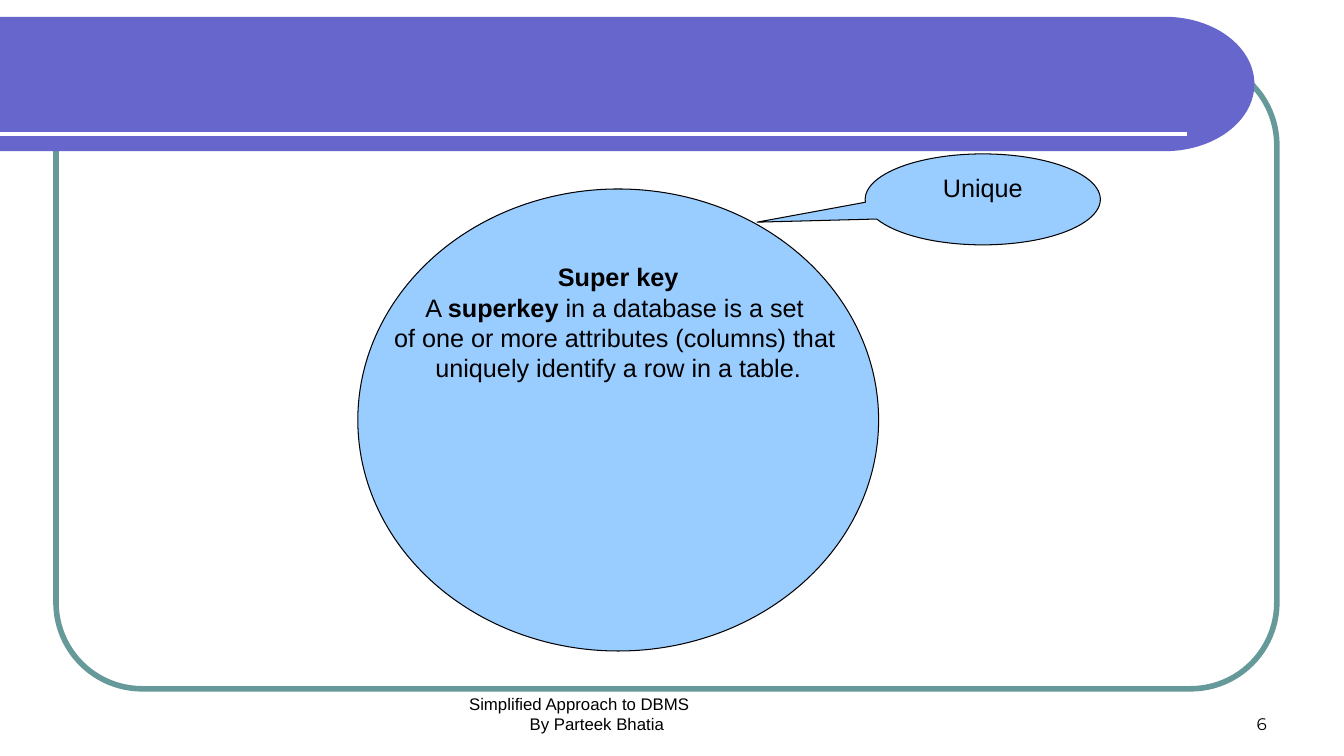
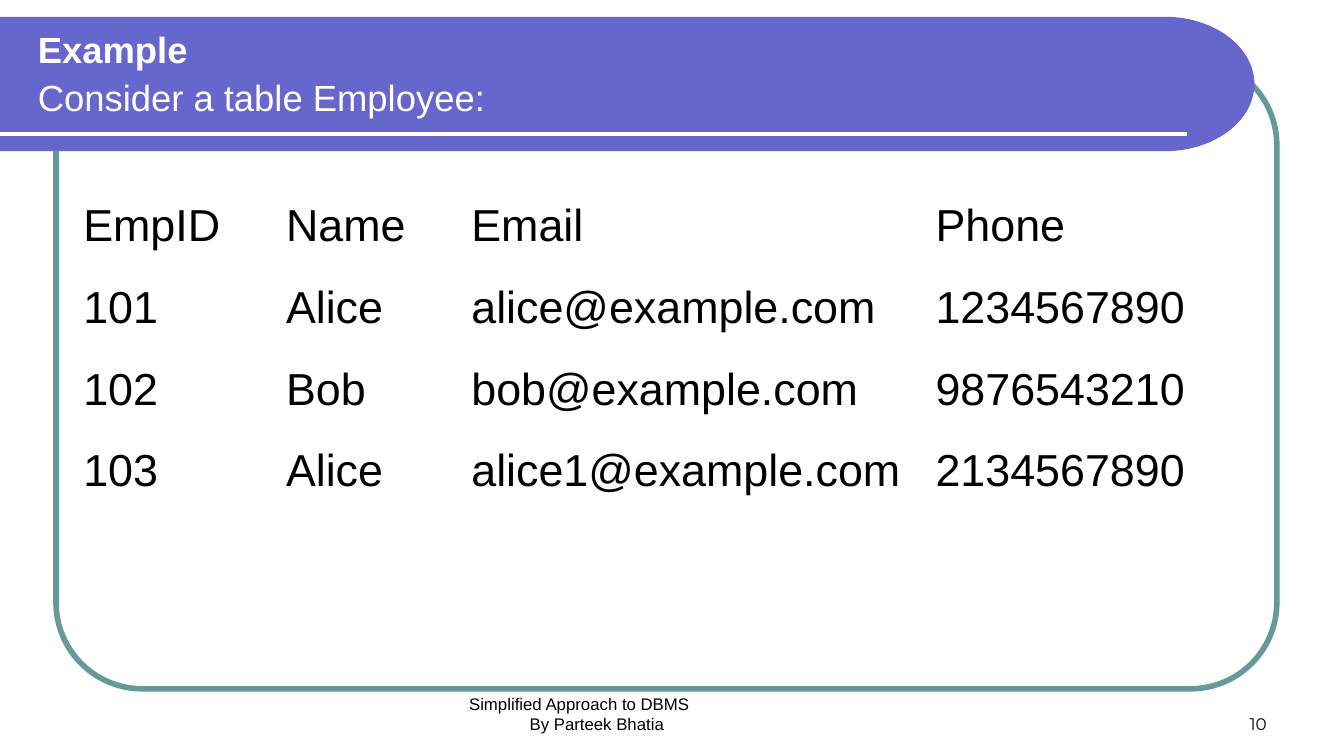
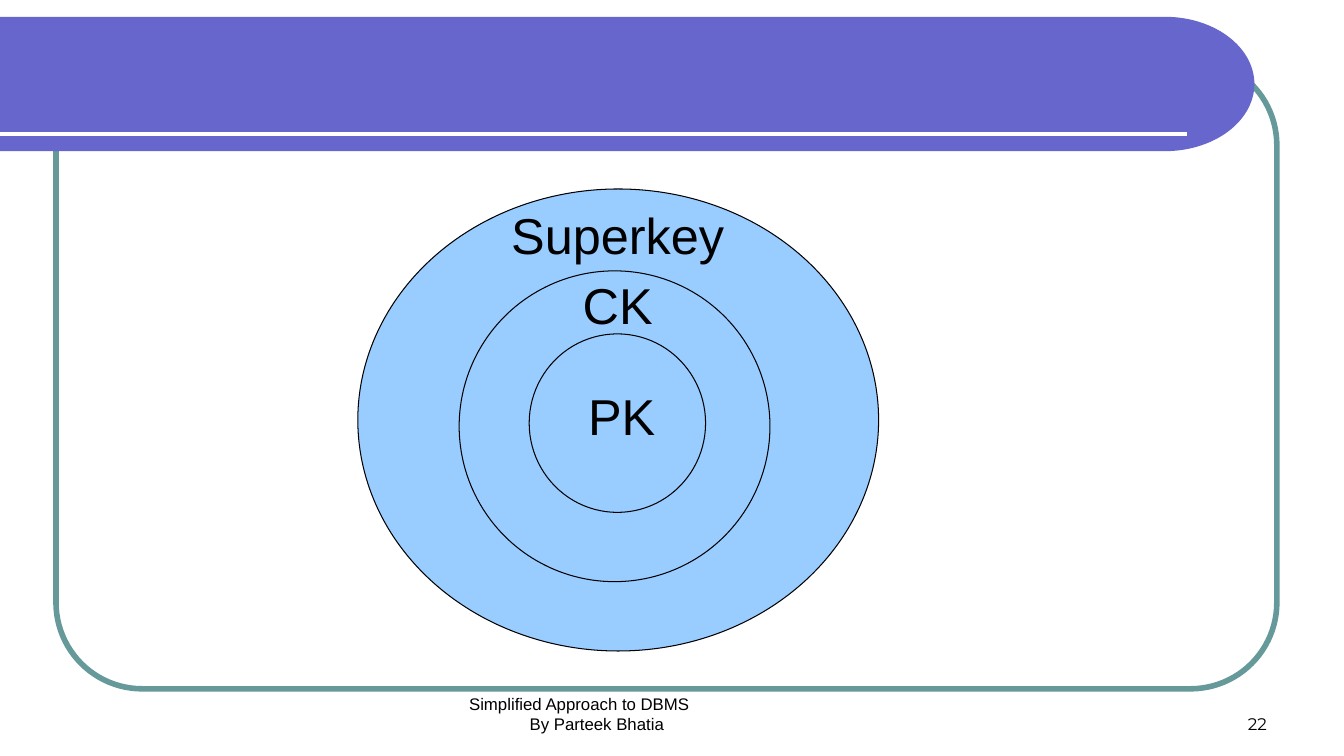
from dataclasses import dataclass
from math import cos, pi, sin

from lxml.etree import SubElement
from pptx import Presentation
from pptx.dml.color import RGBColor
from pptx.enum.shapes import MSO_CONNECTOR, MSO_SHAPE
from pptx.enum.text import MSO_ANCHOR, PP_ALIGN
from pptx.oxml.ns import qn
from pptx.util import Inches, Pt

COLUMNS, ROWS = 120, 90


@dataclass(frozen=True)
class Theme:
    band: str = "6666CC"
    frame: str = "669999"
    bubble: str = "99CCFF"
    ink: str = "000000"
    paper: str = "FFFFFF"
    font: str = "Arial"
    number_font: str = "Montserrat"
    footer_size: int = 12
    note_size: int = 18
    title_size: int = 26
    table_size: int = 32
    label_size: int = 36


class KeyDeck:
    """Draws on the current page in grid columns and rows."""

    def __init__(self, theme):
        self.theme = theme
        self.deck = Presentation()
        self.deck.slide_width, self.deck.slide_height = Inches(13.33), Inches(7.5)
        self.page = None

    def x(self, columns):
        return round(self.deck.slide_width * columns / COLUMNS)

    def y(self, rows):
        return round(self.deck.slide_height * rows / ROWS)

    def area(self, left, top, width, height):
        return self.x(left), self.y(top), self.x(width), self.y(height)

    def start_page(self, number):
        self.page = self.deck.slides.add_slide(self.deck.slide_layouts[6])
        self.frame()
        self.band()
        self.rule()
        self.footer(number)

    def paint(self, shape, fill=None, line=None, width=0.75):
        shape.shadow.inherit = False
        for part, color in ((shape.fill, fill), (shape.line.fill, line)):
            if color:
                part.solid()
                part.fore_color.rgb = RGBColor.from_string(color)
            else:
                part.background()
        if line:
            shape.line.width = Pt(width)

    def frame(self):
        shape = self.page.shapes.add_shape(
            MSO_SHAPE.ROUNDED_RECTANGLE, *self.area(5, 7, 109, 75))
        shape.adjustments[0] = 0.137
        self.paint(shape, line=self.theme.frame, width=4)

    def band(self):
        steps = 60
        turns = [pi * step / steps - pi / 2 for step in range(steps + 1)]
        curve = [(self.x(104 + 8 * cos(turn)), self.y(10 + 8 * sin(turn)))
                 for turn in turns]
        outline = self.page.shapes.build_freeform(0, self.y(2), scale=1.0)
        outline.add_line_segments(curve + [(0, self.y(18))], close=True)
        self.paint(outline.convert_to_shape(), fill=self.theme.band)

    def rule(self):
        line = self.page.shapes.add_connector(
            MSO_CONNECTOR.STRAIGHT, 0, self.y(16), self.x(106), self.y(16))
        line.line.color.rgb = RGBColor.from_string(self.theme.paper)
        line.line.width = Pt(3)
        SubElement(line._element.spPr, qn("a:effectLst"))

    def footer(self, number):
        size = self.theme.footer_size
        box = self.text((41, 82, 38, 6),
                        ["Simplified Approach to DBMS", "By Parteek Bhatia"],
                        size, anchor=MSO_ANCHOR.BOTTOM)
        box.text_frame.paragraphs[1]._p.get_or_add_pPr().set("marL", str(self.x(5.4)))
        self.text((86, 82, 28, 6), [number], size, font=self.theme.number_font,
                  anchor=MSO_ANCHOR.BOTTOM, align=PP_ALIGN.RIGHT)

    def fill_text(self, frame, lines, size, color=None, font=None, **paragraph_format):
        """Fill a text frame; words between asterisks are bold."""
        for index, line in enumerate(lines):
            para = frame.add_paragraph() if index else frame.paragraphs[0]
            for name, value in paragraph_format.items():
                setattr(para, name, value)
            for position, words in enumerate(line.split("*")):
                if not words:
                    continue
                span = para.add_run()
                span.text = words
                style = {"name": font or self.theme.font, "size": Pt(size),
                         "bold": position % 2 == 1}
                for name, value in style.items():
                    setattr(span.font, name, value)
                span.font.color.rgb = RGBColor.from_string(color or self.theme.ink)

    def text(self, place, lines, size, anchor=MSO_ANCHOR.TOP, wrap=True,
             align=PP_ALIGN.LEFT, **style):
        box = self.page.shapes.add_textbox(*self.area(*place))
        box.text_frame.word_wrap = wrap
        box.text_frame.vertical_anchor = anchor
        self.fill_text(box.text_frame, lines, size, alignment=align, **style)
        return box

    def title(self, lines):
        self.text((2.5, 3, 105.25, 12), lines, self.theme.title_size,
                  anchor=MSO_ANCHOR.MIDDLE, color=self.theme.paper,
                  line_spacing=0.9, space_after=Pt(6))

    def label(self, place, words):
        self.text(place, [words], self.theme.label_size, wrap=False,
                  align=PP_ALIGN.CENTER)

    def bubble(self, place, lines=(), kind=MSO_SHAPE.OVAL, pointer=()):
        shape = self.page.shapes.add_shape(kind, *self.area(*place))
        for index, value in enumerate(pointer):
            shape.adjustments[index] = value
        self.paint(shape, self.theme.bubble, self.theme.ink)
        shape.text_frame.word_wrap = False
        shape.text_frame.vertical_anchor = MSO_ANCHOR.TOP
        self.fill_text(shape.text_frame, lines, self.theme.note_size,
                       alignment=PP_ALIGN.CENTER)

    def table(self, left, top, widths, row_height, records):
        place = self.area(left, top, sum(widths), row_height * len(records))
        table = self.page.shapes.add_table(len(records), len(widths), *place).table
        table.first_row = table.horz_banding = False
        for column, width in zip(table.columns, widths):
            column.width = self.x(width)
        cell_format = {"margin_left": Inches(0.16), "margin_right": Inches(0.16),
                       "margin_top": Inches(0.08), "margin_bottom": Inches(0.08),
                       "vertical_anchor": MSO_ANCHOR.MIDDLE}
        for row, record in zip(table.rows, records):
            row.height = self.y(row_height)
            for cell, value in zip(row.cells, record):
                cell.fill.background()
                for name, setting in cell_format.items():
                    setattr(cell, name, setting)
                self.fill_text(cell.text_frame, [value], self.theme.table_size)


SUPER_KEY_PLACE = (31.95, 22.5, 46.5, 55)


def super_key_page(deck):
    deck.start_page("6")
    deck.bubble(SUPER_KEY_PLACE, [
        "*Super key*",
        "A *superkey* in a database is a set ",
        "of one or more attributes (columns) that ",
        "uniquely identify a row in a table.",
    ])
    deck.bubble((77.25, 18.33, 21, 10.83), ["Unique"],
                MSO_SHAPE.OVAL_CALLOUT, (-0.96, 0.25))


def employee_page(deck):
    deck.start_page("10")
    deck.title(["*Example*", "Consider a table Employee:"])
    deck.table(6, 22, (18.1, 16.55, 41.45, 27.85), 9.75, [
        ("EmpID", "Name", "Email", "Phone"),
        ("101", "Alice", "alice@example.com", "1234567890"),
        ("102", "Bob", "bob@example.com", "9876543210"),
        ("103", "Alice", "alice1@example.com", "2134567890"),
    ])


def nested_keys_page(deck):
    deck.start_page("22")
    rings = [
        (SUPER_KEY_PLACE, (44.65, 23.75, 21, 8.5), "Superkey"),
        ((41, 32.25, 27.75, 37), (51.1, 32, 8.1, 8.5), "CK"),
        ((47.25, 39.75, 15.75, 21.25), (51.55, 45.25, 7.9, 8.5), "PK"),
    ]
    for ring, place, words in rings:
        deck.bubble(ring)
        deck.label(place, words)


def main():
    deck = KeyDeck(Theme())
    for build in (super_key_page, employee_page, nested_keys_page):
        build(deck)
    deck.deck.save("out.pptx")


if __name__ == "__main__":
    main()
